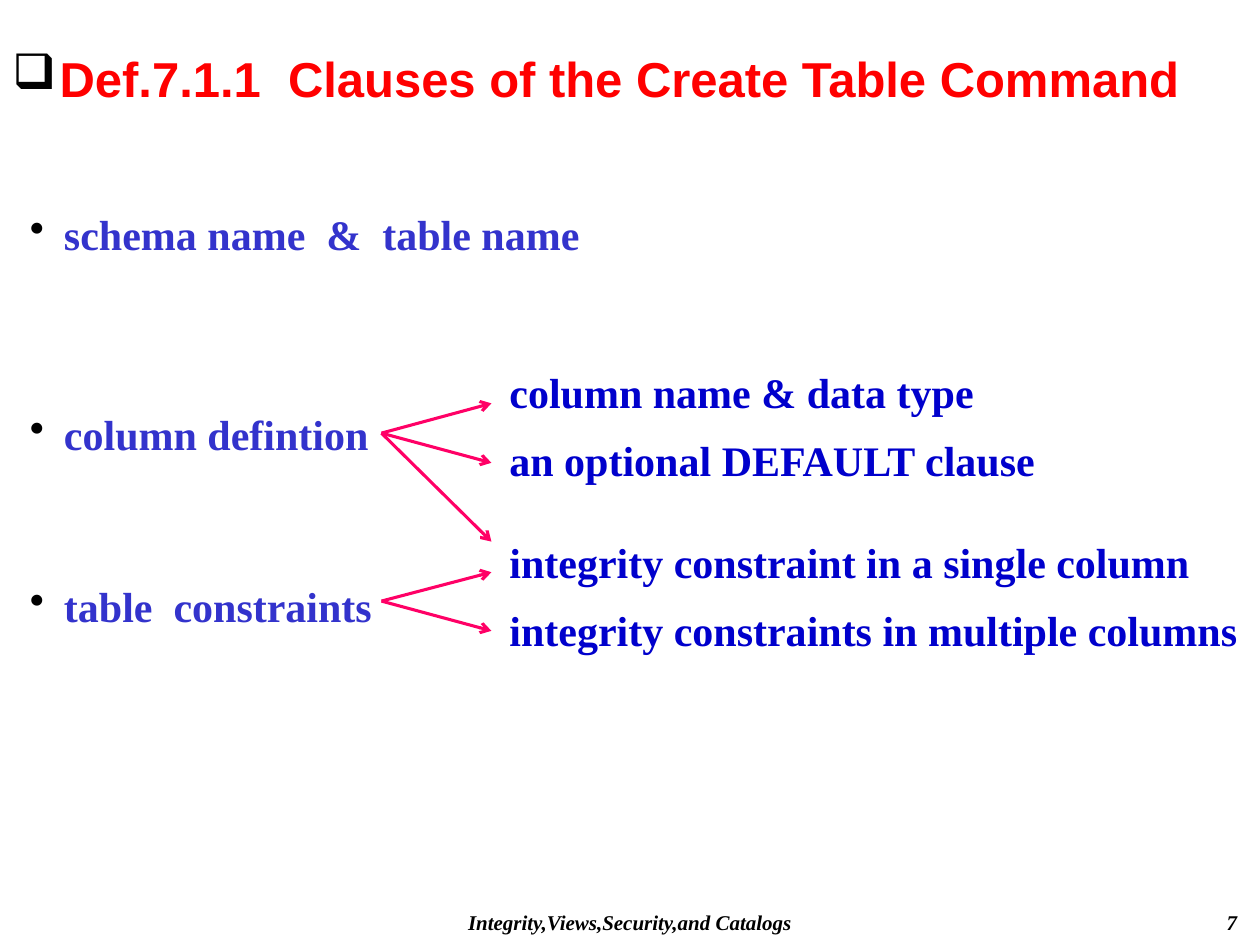
from lxml.etree import SubElement
from pptx import Presentation
from pptx.dml.color import RGBColor
from pptx.enum.shapes import MSO_CONNECTOR
from pptx.enum.text import MSO_ANCHOR, PP_ALIGN
from pptx.oxml.ns import qn
from pptx.util import Pt

COLORS = {
    "paper": "FFFFFF",
    "ink": "000000",
    "title": "FF0000",
    "clause": "3333CC",
    "detail": "0000CC",
    "arrow": "FF0066",
}
SERIF, SANS = "Times New Roman", "Arial"


def color(name):
    return RGBColor.from_string(COLORS[name])


def add_bullet(para, mark, left, hanging):
    properties = para._p.get_or_add_pPr()
    properties.set("marL", str(Pt(left)))
    properties.set("indent", str(-Pt(hanging)))
    bullet_color = SubElement(properties, qn("a:buClr"))
    SubElement(bullet_color, qn("a:srgbClr"), val=COLORS["ink"])
    SubElement(properties, qn("a:buChar"), char=mark)


def add_text(slide, place, lines, size, hue, font=SERIF, italic=False,
             align=PP_ALIGN.LEFT, spacing=1.0, gaps=(), bullet=None,
             filled=True, right_inset=7.2):
    """Write one paragraph per line; gaps are the spaces between them."""
    box = slide.shapes.add_textbox(*(Pt(length) for length in place))
    if filled:
        box.fill.solid()
        box.fill.fore_color.rgb = color("paper")
    frame = box.text_frame
    frame.word_wrap = True
    frame.vertical_anchor = MSO_ANCHOR.TOP
    frame.margin_right = Pt(right_inset)
    for index, line in enumerate(lines):
        para = frame.add_paragraph() if index else frame.paragraphs[0]
        if bullet:
            add_bullet(para, *bullet)
        para.alignment = align
        para.line_spacing = spacing
        if index:
            para.space_before = Pt(gaps[index - 1])
        span = para.add_run()
        span.text = line
        span.font.name = font
        span.font.size = Pt(size)
        span.font.bold = True
        span.font.italic = italic
        span.font.color.rgb = color(hue)


def add_arrow(slide, start, end):
    arrow = slide.shapes.add_connector(
        MSO_CONNECTOR.STRAIGHT, *(Pt(length) for length in start + end))
    arrow.line.color.rgb = color("arrow")
    arrow.line.width = Pt(1.75)
    SubElement(arrow.line._get_or_add_ln(), qn("a:tailEnd"), type="arrow")
    SubElement(arrow._element.spPr, qn("a:effectLst"))


def add_fan(slide, start, end_heights):
    for height in end_heights:
        add_arrow(slide, start, (280.8, height))


def main():
    deck = Presentation()
    deck.slide_width, deck.slide_height = Pt(720), Pt(540)
    slide = deck.slides.add_slide(deck.slide_layouts[6])

    # Footer and page number
    add_text(slide, (204, 516, 312, 18), ["Integrity,Views,Security,and Catalogs"],
             12, "ink", italic=True, align=PP_ALIGN.CENTER, filled=False)
    add_text(slide, (564, 516, 150, 18), ["7"],
             12, "ink", italic=True, align=PP_ALIGN.RIGHT, filled=False)

    # Title
    add_text(slide, (0, 21, 720, 45),
             ["Def.7.1.1  Clauses of the Create Table Command"],
             28, "title", font=SANS, spacing=1.1, bullet=("❑", 27, 27))

    # Clauses of the command
    add_text(slide, (6, 112.5, 345.6, 249),
             ["schema name  &  table name", "column defintion", "table  constraints"],
             24, "clause", spacing=1.1, gaps=(82.7, 66.7), bullet=("•", 23.5, 19.5))

    # Parts of a column definition
    add_text(slide, (284, 203, 430, 77),
             ["column name & data type", "an optional DEFAULT clause"],
             24, "detail", spacing=1.1, gaps=(7.3,))

    # Kinds of table constraint
    add_text(slide, (284, 300, 430, 77),
             ["integrity constraint in a single column",
              "integrity constraints in multiple columns"],
             24, "detail", spacing=1.1, gaps=(7.3,), right_inset=0)

    # Arrows from clauses to their parts
    add_fan(slide, (218, 247.5), (230.5, 264.5, 309.5))
    add_fan(slide, (218, 343.5), (327, 360.5))

    deck.save("out.pptx")


if __name__ == "__main__":
    main()
